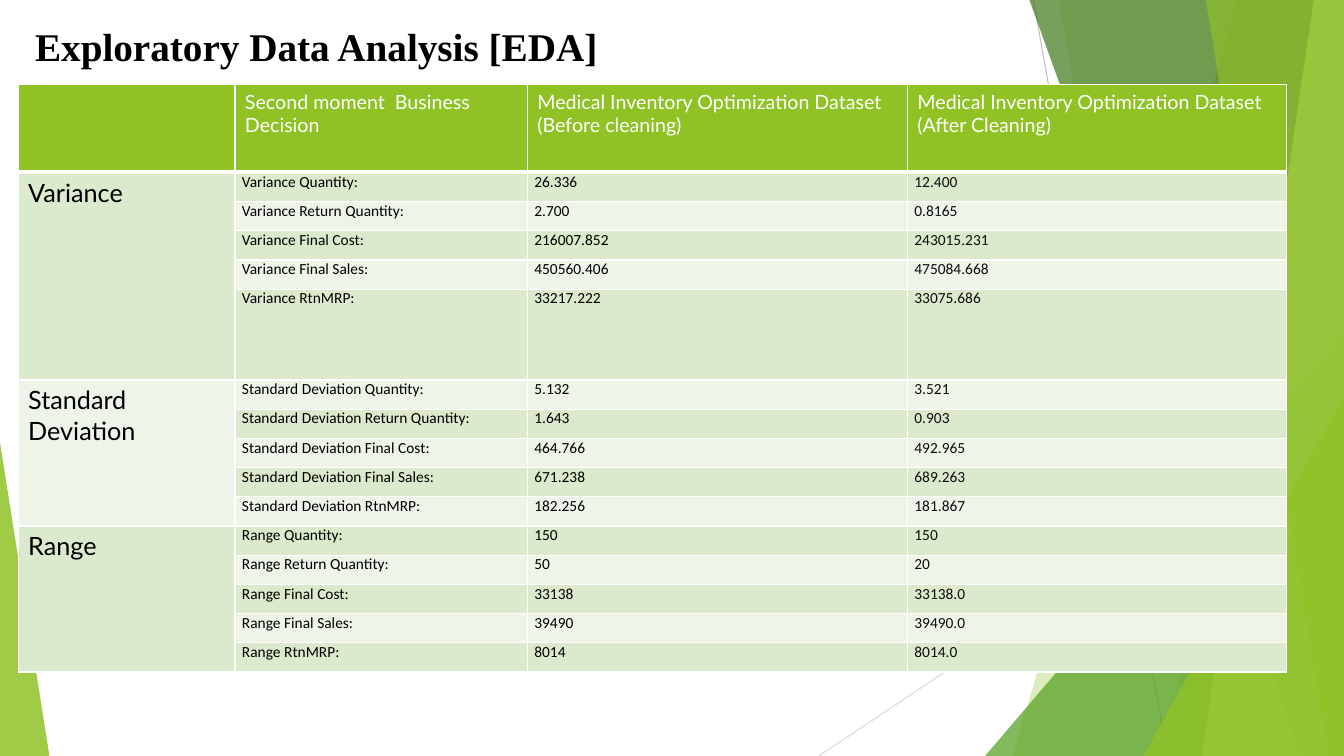
from dataclasses import dataclass

from lxml.etree import SubElement
from pptx import Presentation
from pptx.dml.color import RGBColor
from pptx.enum.shapes import MSO_CONNECTOR, MSO_SHAPE
from pptx.enum.text import MSO_ANCHOR
from pptx.oxml.ns import qn
from pptx.util import Inches, Pt

SLIDE_W, SLIDE_H = 13.33, 7.5
COLORS = {
    "white": "FFFFFF", "black": "000000", "ink": "0D0D0D",
    "lime": "90C226", "green": "54A021", "forest": "3F7819", "pale": "C0E474",
    "band_dark": "DBE9CD", "band_light": "EEF4E8",
    "ray_dark": "BFBFBF", "ray_light": "D9D9D9",
}


@dataclass(frozen=True)
class Ray:
    start: tuple[float, float]
    end: tuple[float, float]
    color: str


@dataclass(frozen=True)
class Facet:
    """A panel from a slanted left edge to the right side of the slide."""
    top_x: float
    bottom_x: float
    color: str
    opacity: int


@dataclass(frozen=True)
class Peak:
    """A right triangle standing on the bottom of the slide."""
    left: float
    top: float
    width: float
    apex: float
    color: str
    opacity: int


@dataclass(frozen=True)
class Measure:
    name: str
    values: tuple[tuple[str, str], ...]


@dataclass(frozen=True)
class TextStyle:
    size: int
    font: str
    color: str
    bold: bool = False


RAYS = (
    Ray((10.25, 0), (11.58, SLIDE_H), "ray_dark"),
    Ray((SLIDE_W, 4.03), (8.12, SLIDE_H), "ray_light"),
)
PANELS = (
    Facet(12.28, 10.04, "lime", 30),
    Facet(10.5, 11.83, "lime", 20),
    Peak(9.77, 3.33, 3.56, 1, "green", 72),
    Facet(10.21, 12.91, "forest", 70),
    Facet(13.03, 11.92, "pale", 70),
    Facet(11.96, 13.18, "lime", 65),
    Peak(11.34, 3.93, 1.99, 1, "lime", 80),
    Peak(0, 4.39, 0.49, 0, "lime", 85),
)
HEADINGS = (
    "",
    "Second moment  Business Decision",
    "Medical Inventory Optimization Dataset (Before cleaning)",
    "Medical Inventory Optimization Dataset (After Cleaning)",
)
FIELDS = ("Quantity", "Return Quantity", "Final Cost", "Final Sales", "RtnMRP")
MEASURES = (
    Measure("Variance", (
        ("26.336", "12.400"), ("2.700", "0.8165"), ("216007.852", "243015.231"),
        ("450560.406", "475084.668"), ("33217.222", "33075.686"))),
    Measure("Standard Deviation", (
        ("5.132", "3.521"), ("1.643", "0.903"), ("464.766", "492.965"),
        ("671.238", "689.263"), ("182.256", "181.867"))),
    Measure("Range", (
        ("150", "150"), ("50", "20"), ("33138", "33138.0"),
        ("39490", "39490.0"), ("8014", "8014.0"))),
)
COLUMN_WIDTHS = (2.15, 2.9, 3.77, 3.76)
ROW_H, HEADER_H, LAST_VARIANCE_H = 0.29, 0.87, 0.9

TITLE = TextStyle(28, "Times New Roman", "black", True)
HEADING = TextStyle(14, "Lato", "white")
MEASURE = TextStyle(18, "Lato", "black")
BEFORE = TextStyle(11, "Calibri", "black")
AFTER = TextStyle(11, "Calibri", "ink")


def rgb(name: str) -> RGBColor:
    return RGBColor.from_string(COLORS[name])


def write(paragraph, text: str, style: TextStyle) -> None:
    run = paragraph.add_run()
    run.text = text
    run.font.size = Pt(style.size)
    run.font.name = style.font
    run.font.bold = style.bold
    run.font.color.rgb = rgb(style.color)


def draw_ray(slide, ray: Ray) -> None:
    points = [Inches(value) for value in (*ray.start, *ray.end)]
    line = slide.shapes.add_connector(MSO_CONNECTOR.STRAIGHT, *points)
    line.line.color.rgb = rgb(ray.color)
    line.line.width = Pt(0.75)
    SubElement(line._element.spPr, qn("a:effectLst"))


def draw_panel(slide, panel: Facet | Peak) -> None:
    if isinstance(panel, Facet):
        outline = slide.shapes.build_freeform(Inches(panel.top_x), 0)
        corners = ((SLIDE_W, 0), (SLIDE_W, SLIDE_H), (panel.bottom_x, SLIDE_H))
        outline.add_line_segments([(Inches(x), Inches(y)) for x, y in corners])
        shape = outline.convert_to_shape()
    else:
        shape = slide.shapes.add_shape(
            MSO_SHAPE.ISOSCELES_TRIANGLE, Inches(panel.left), Inches(panel.top),
            Inches(panel.width), Inches(SLIDE_H - panel.top))
        shape.adjustments[0] = panel.apex
    shape.shadow.inherit = False
    shape.line.fill.background()
    shape.fill.solid()
    shape.fill.fore_color.rgb = rgb(panel.color)
    color = shape._element.spPr.find(qn("a:solidFill"))[0]
    SubElement(color, qn("a:alpha"), val=str(panel.opacity * 1000))


def draw_title(slide, text: str) -> None:
    box = slide.shapes.add_textbox(Inches(0.25), Inches(0.22), Inches(11.5), Inches(0.52))
    frame = box.text_frame
    frame.word_wrap = True
    frame.vertical_anchor = MSO_ANCHOR.MIDDLE
    frame.paragraphs[0].line_spacing = 0.9
    write(frame.paragraphs[0], text, TITLE)


def paint_cell(cell, fill: str, bottom: int = 1) -> None:
    """Give a cell white borders and a solid fill."""
    properties = cell._tc.get_or_add_tcPr()
    for side, width in (("L", 1), ("R", 1), ("T", 1), ("B", bottom)):
        border = SubElement(properties, qn(f"a:ln{side}"), w=str(Pt(width)))
        SubElement(SubElement(border, qn("a:solidFill")), qn("a:srgbClr"), val=COLORS["white"])
    cell.fill.solid()
    cell.fill.fore_color.rgb = rgb(fill)


def draw_table(slide) -> None:
    row_count = 1 + len(MEASURES) * len(FIELDS)
    table = slide.shapes.add_table(
        row_count, len(COLUMN_WIDTHS), Inches(0.18), Inches(0.84),
        Inches(sum(COLUMN_WIDTHS)), Inches(5.83)).table
    for column, width in zip(table.columns, COLUMN_WIDTHS):
        column.width = Inches(width)
    for row in table.rows:
        row.height = Inches(ROW_H)
    table.rows[0].height = Inches(HEADER_H)
    table.rows[len(FIELDS)].height = Inches(LAST_VARIANCE_H)

    for column, heading in enumerate(HEADINGS):
        cell = table.cell(0, column)
        paint_cell(cell, "lime", bottom=3)
        if heading:
            write(cell.text_frame.paragraphs[0], heading, HEADING)

    for group, measure in enumerate(MEASURES):
        first = 1 + group * len(FIELDS)
        name_cell = table.cell(first, 0)
        name_cell.merge(table.cell(first + len(FIELDS) - 1, 0))
        write(name_cell.text_frame.paragraphs[0], measure.name, MEASURE)
        for row, (field, values) in enumerate(zip(FIELDS, measure.values), first):
            fill = "band_dark" if row % 2 else "band_light"
            paint_cell(table.cell(row, 0), fill)
            texts = (f"{measure.name} {field}:", *values)
            for column, (text, style) in enumerate(zip(texts, (BEFORE, BEFORE, AFTER)), 1):
                cell = table.cell(row, column)
                cell.margin_left = cell.margin_right = Inches(0.07)
                cell.margin_top = cell.margin_bottom = 0
                paint_cell(cell, fill)
                write(cell.text_frame.paragraphs[0], text, style)


def main() -> None:
    deck = Presentation()
    deck.slide_width, deck.slide_height = Inches(SLIDE_W), Inches(SLIDE_H)
    slide = deck.slides.add_slide(deck.slide_layouts[6])
    for ray in RAYS:
        draw_ray(slide, ray)
    for panel in PANELS:
        draw_panel(slide, panel)
    draw_title(slide, "Exploratory Data Analysis [EDA]")
    draw_table(slide)
    deck.save("out.pptx")


if __name__ == "__main__":
    main()
